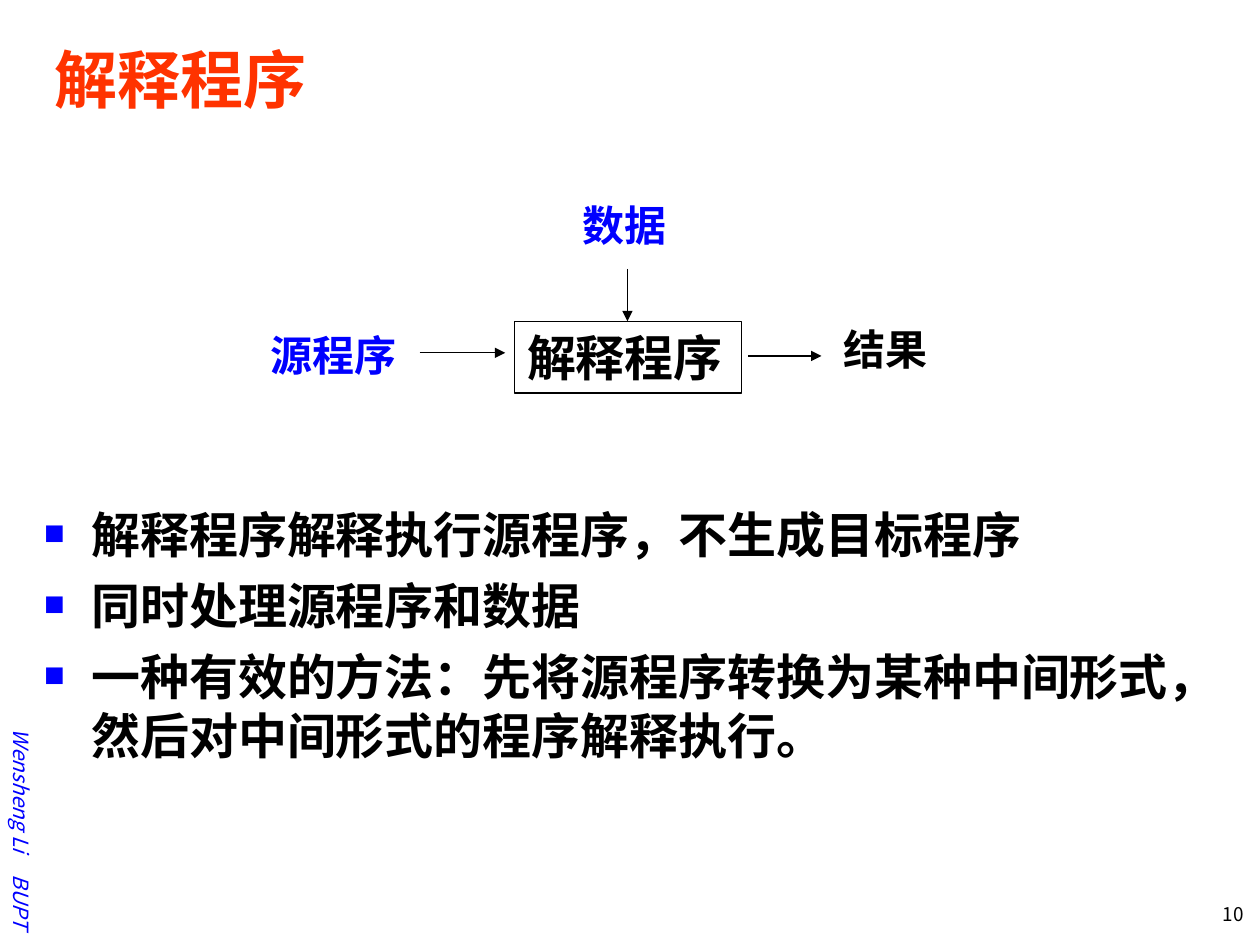
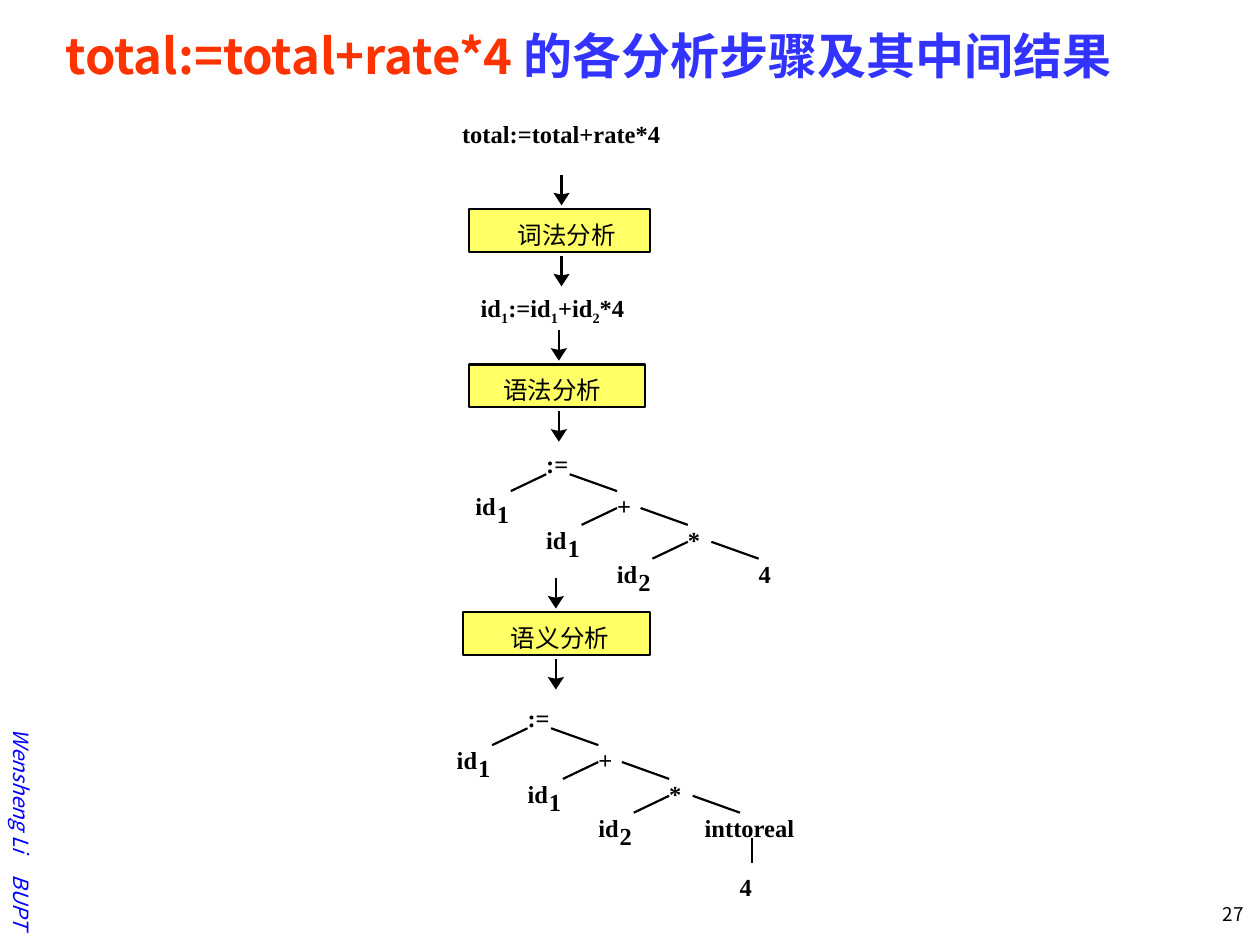
from dataclasses import dataclass

from lxml import etree
from pptx import Presentation
from pptx.dml.color import RGBColor
from pptx.enum.shapes import MSO_CONNECTOR, MSO_SHAPE
from pptx.enum.text import MSO_ANCHOR, MSO_AUTO_SIZE, PP_ALIGN
from pptx.oxml.ns import qn
from pptx.util import Inches, Pt

STRAIGHT = MSO_CONNECTOR.STRAIGHT
RECTANGLE = MSO_SHAPE.RECTANGLE
MIDDLE, TOP = MSO_ANCHOR.MIDDLE, MSO_ANCHOR.TOP
LEFT, RIGHT = PP_ALIGN.LEFT, PP_ALIGN.RIGHT
NO_FIT = MSO_AUTO_SIZE.NONE
TITLE_CONTENT, TITLE_ONLY = 1, 5
COLUMNS, ROWS = 100, 75


@dataclass(frozen=True)
class Theme:
    sans: str = "Noto Sans CJK SC"
    serif: str = "Times New Roman"
    ink: str = "000000"
    blue: str = "0000FF"
    title_red: str = "FF3300"
    title_blue: str = "3333FF"
    stage_fill: str = "FFFF66"
    title_size: float = 36
    heading_size: float = 28
    label_size: float = 24
    code_size: float = 14
    side_size: float = 12
    number_size: float = 10.8
    thin: float = 0.75
    thick: float = 1.25


@dataclass(frozen=True)
class Style:
    size: float
    font: str
    color: str = Theme.ink
    bold: bool = False
    italic: bool = False


THEME = Theme()
TITLE = Style(THEME.title_size, THEME.sans, THEME.title_red, True)
LONG_TITLE = Style(THEME.heading_size, THEME.sans, THEME.title_red, True)
LONG_TITLE_TAIL = Style(THEME.heading_size, THEME.sans, THEME.title_blue, True)
BODY = Style(THEME.heading_size, THEME.sans, THEME.ink, True)
MACHINE = Style(THEME.heading_size, THEME.serif, THEME.ink, True)
INPUT = Style(THEME.label_size, THEME.serif, THEME.blue, True)
OUTPUT = Style(THEME.label_size, THEME.serif, THEME.ink, True)
CODE = Style(THEME.code_size, THEME.serif, THEME.ink, True)
STAGE = Style(THEME.code_size, THEME.sans)
SIDE = Style(THEME.side_size, THEME.sans, THEME.blue, italic=True)
NUMBER = Style(THEME.number_size, THEME.sans)

deck = Presentation()
deck.slide_width, deck.slide_height = Inches(10), Inches(7.5)


def col(count):
    return round(count * deck.slide_width / COLUMNS)


def row(count):
    return round(count * deck.slide_height / ROWS)


def place(shape, left, top, width, height):
    shape.left, shape.top = col(left), row(top)
    shape.width, shape.height = col(width), row(height)


def add_run(para, text, style, baseline=0, spacing=0):
    span = para.add_run()
    span.text = text
    font = span.font
    font.size, font.name = Pt(style.size), style.font
    font.bold, font.italic = style.bold, style.italic
    font.color.rgb = RGBColor.from_string(style.color)
    properties = span._r.get_or_add_rPr()
    etree.SubElement(properties, qn("a:ea")).set("typeface", THEME.sans)
    if baseline:
        properties.set("baseline", str(baseline * 1000))
    if spacing:
        properties.set("spc", str(spacing * 100))


def set_frame(shape, margins=(0, 0), anchor=TOP, wrap=True):
    frame = shape.text_frame
    frame.auto_size, frame.word_wrap, frame.vertical_anchor = NO_FIT, wrap, anchor
    frame.margin_left = frame.margin_right = col(margins[0])
    frame.margin_top = frame.margin_bottom = row(margins[1])
    para = frame.paragraphs[0]
    para.alignment = LEFT
    return para


def add_label(page, box, text, style, margins=(0, 0), wrap=False):
    shape = page.shapes.add_textbox(0, 0, 0, 0)
    place(shape, *box)
    para = set_frame(shape, margins, wrap=wrap)
    if text:
        add_run(para, text, style)
    return shape


def add_line(page, start, end, weight, arrow=False):
    line = page.shapes.add_connector(
        STRAIGHT, col(start[0]), row(start[1]), col(end[0]), row(end[1]))
    line.line.color.rgb = RGBColor.from_string(THEME.ink)
    line.line.width = Pt(weight)
    if arrow:
        etree.SubElement(line.line._get_or_add_ln(), qn("a:tailEnd")).set("type", "triangle")
    etree.SubElement(line._element.spPr, qn("a:effectLst"))


def add_box(page, box, weight, fill=None):
    shape = page.shapes.add_shape(RECTANGLE, 0, 0, 0, 0)
    place(shape, *box)
    shape.shadow.inherit = False
    if fill:
        shape.fill.solid()
        shape.fill.fore_color.rgb = RGBColor.from_string(fill)
    else:
        shape.fill.background()
    shape.line.color.rgb = RGBColor.from_string(THEME.ink)
    shape.line.width = Pt(weight)
    return shape


def add_title(page, box, runs):
    title = page.shapes.title
    place(title, *box)
    para = set_frame(title, (1, 0.5), MIDDLE)
    for text, style in runs:
        add_run(para, text, style)


def add_page_number(page, number):
    shape = add_label(page, (91.8, 71.5, 7.9, 3), number, NUMBER, (1, 0.5), True)
    para = shape.text_frame.paragraphs[0]
    para.alignment, para.line_spacing = RIGHT, 0.8


def add_side_credit(page):
    shape = add_label(page, (-11.45, 60, 26.4, 3), "", SIDE, (1, 0.5), True)
    shape.rotation = 90
    shape.text_frame.vertical_anchor = MIDDLE
    para = shape.text_frame.paragraphs[0]
    para.alignment = RIGHT
    add_run(para, "Wensheng Li", SIDE)
    add_run(para, " ", SIDE, spacing=10)
    add_run(para, "BUPT", SIDE)
    deck.slide_master.shapes._spTree.append(shape._element)


def add_bullets(page, box, items):
    body = page.placeholders[1]
    place(body, *box)
    set_frame(body, (1, 0.5))
    frame = body.text_frame
    frame.margin_right = col(2)
    for index, item in enumerate(items):
        para = frame.paragraphs[0] if index == 0 else frame.add_paragraph()
        properties = para._p.get_or_add_pPr()
        properties.set("marL", str(col(3.75)))
        properties.set("indent", str(-col(3.75)))
        color = etree.SubElement(properties, qn("a:buClr"))
        etree.SubElement(color, qn("a:srgbClr")).set("val", THEME.blue)
        etree.SubElement(properties, qn("a:buSzPct")).set("val", "70000")
        etree.SubElement(properties, qn("a:buFont")).set("typeface", THEME.serif)
        etree.SubElement(properties, qn("a:buChar")).set("char", "■")
        para.alignment, para.line_spacing = LEFT, 1.0
        para.space_before = Pt(7 if index else 0)
        add_run(para, item, BODY)


def add_interpreter_diagram(page, left, top):
    margins = (1, 0.5)
    add_label(page, (left, top + 10.35, 12, 5), "源程序", INPUT, margins)
    add_label(page, (left + 24.75, top + 0.05, 8.6, 5), "数据", INPUT, margins)
    add_label(page, (left + 45.5, top + 9.9, 8.6, 5), "结果", OUTPUT, margins)
    machine = add_box(page, (left + 20.35, top + 10.2, 18, 5.7), THEME.thin)
    add_run(set_frame(machine, margins), "解释程序", MACHINE)
    for start, end in (((38.9, 12.95), (44.7, 12.95)),
                       ((12.8, 12.7), (19.6, 12.7)),
                       ((29.3, 6.05), (29.3, 10.2))):
        add_line(page, (left + start[0], top + start[1]),
                 (left + end[0], top + end[1]), THEME.thin, True)


def add_down_arrow(page, center, top):
    add_line(page, (center, top), (center, top + 1.7), THEME.thick)
    outline = [(-0.65, 1.4), (0, 1.55), (0.65, 1.4), (0, 2.4)]
    points = [(col(center + x), row(top + y)) for x, y in outline]
    builder = page.shapes.build_freeform(*points[0])
    builder.add_line_segments(points[1:], close=True)
    head = builder.convert_to_shape()
    head.shadow.inherit = False
    head.fill.solid()
    head.fill.fore_color.rgb = RGBColor.from_string(THEME.ink)
    head.line.fill.background()


def add_stage(page, center, top, left, width, text_left, name):
    add_box(page, (left, top + 2.7, width, 3.4), THEME.thick, THEME.stage_fill)
    add_label(page, (text_left, top + 3.55, 7.8, 2.3), name, STAGE)
    for offset in (0, 6.43):
        add_down_arrow(page, center, top + offset)


def add_syntax_tree(page, left, top, last_leaf, leaf_shift=0, leaf_width=1):
    step_x, step_y, drop = 5.62, 2.68, 1.34
    levels = ((":=", "1", 0), ("+", "1", 0.65), ("*", "2", 0.65))
    for index, (operator, subscript, lower) in enumerate(levels):
        x, y = left + index * step_x, top + 2 + index * step_y
        leaf_y = y + drop
        add_label(page, (x, y - 2 + lower, 1.8, 2.3), operator, CODE)
        add_label(page, (x - step_x, leaf_y, 1.6, 2.3), "id", CODE)
        add_label(page, (x - step_x + 1.7, leaf_y + 0.65, 1, 2.3), subscript, CODE)
        add_line(page, (x, y), (x - step_x / 2, leaf_y), THEME.thick)
        add_line(page, (x + 1.87, y), (x + step_x, leaf_y), THEME.thick)
    add_label(page, (x + step_x + leaf_shift, leaf_y, leaf_width, 2.3), last_leaf, CODE)


def add_conversion_leaf(page, left, top):
    add_line(page, (left + 1, top), (left + 1, top + 2), THEME.thick)
    add_label(page, (left, top + 2.7, 1, 2.3), "4", CODE)


def add_token_line(page, box):
    para = add_label(page, box, "", CODE, wrap=True).text_frame.paragraphs[0]
    for text, subscript in (("id", "1"), (":=id", "1"), ("+id", "2")):
        add_run(para, text, CODE)
        add_run(para, subscript, CODE, baseline=-25)
    add_run(para, "*4", CODE)


def build_interpreter_slide():
    page = deck.slides.add_slide(deck.slide_layouts[TITLE_CONTENT])
    add_side_credit(page)
    add_page_number(page, "10")
    add_title(page, (3.3, 1.65, 94.2, 9.2), [("解释程序", TITLE)])
    add_bullets(page, (2.5, 39.5, 95, 30.5), (
        "解释程序解释执行源程序，不生成目标程序",
        "同时处理源程序和数据",
        "一种有效的方法：先将源程序转换为某种中间形式，然后对中间形式的程序解释执行。"))
    add_interpreter_diagram(page, 20.5, 15.3)


def build_analysis_slide():
    page = deck.slides.add_slide(deck.slide_layouts[TITLE_ONLY])
    add_page_number(page, "27")
    add_title(page, (4.2, 1.7, 92.1, 5.3), [
        ("total:=total+rate*4 ", LONG_TITLE),
        ("的各分析步骤及其中间结果", LONG_TITLE_TAIL)])
    add_label(page, (36.67, 9.45, 15.8, 2.3), "total:=total+rate*4", CODE)
    add_token_line(page, (38.15, 23.25, 13.3, 2.7))
    for stage in ((44.57, 13.9, 37.2, 14.4, 41.1, "词法分析"),
                  (44.36, 26.23, 37.2, 14, 39.95, "语法分析"),
                  (44.12, 45.9, 36.75, 14.85, 40.55, "语义分析")):
        add_stage(page, *stage)
    add_syntax_tree(page, 43.35, 35.64, "4")
    add_syntax_tree(page, 41.87, 55.8, "inttoreal", -2.8, 7.2)
    add_conversion_leaf(page, 58.7, 66.5)


def main():
    build_interpreter_slide()
    build_analysis_slide()
    deck.save("out.pptx")


if __name__ == "__main__":
    main()
